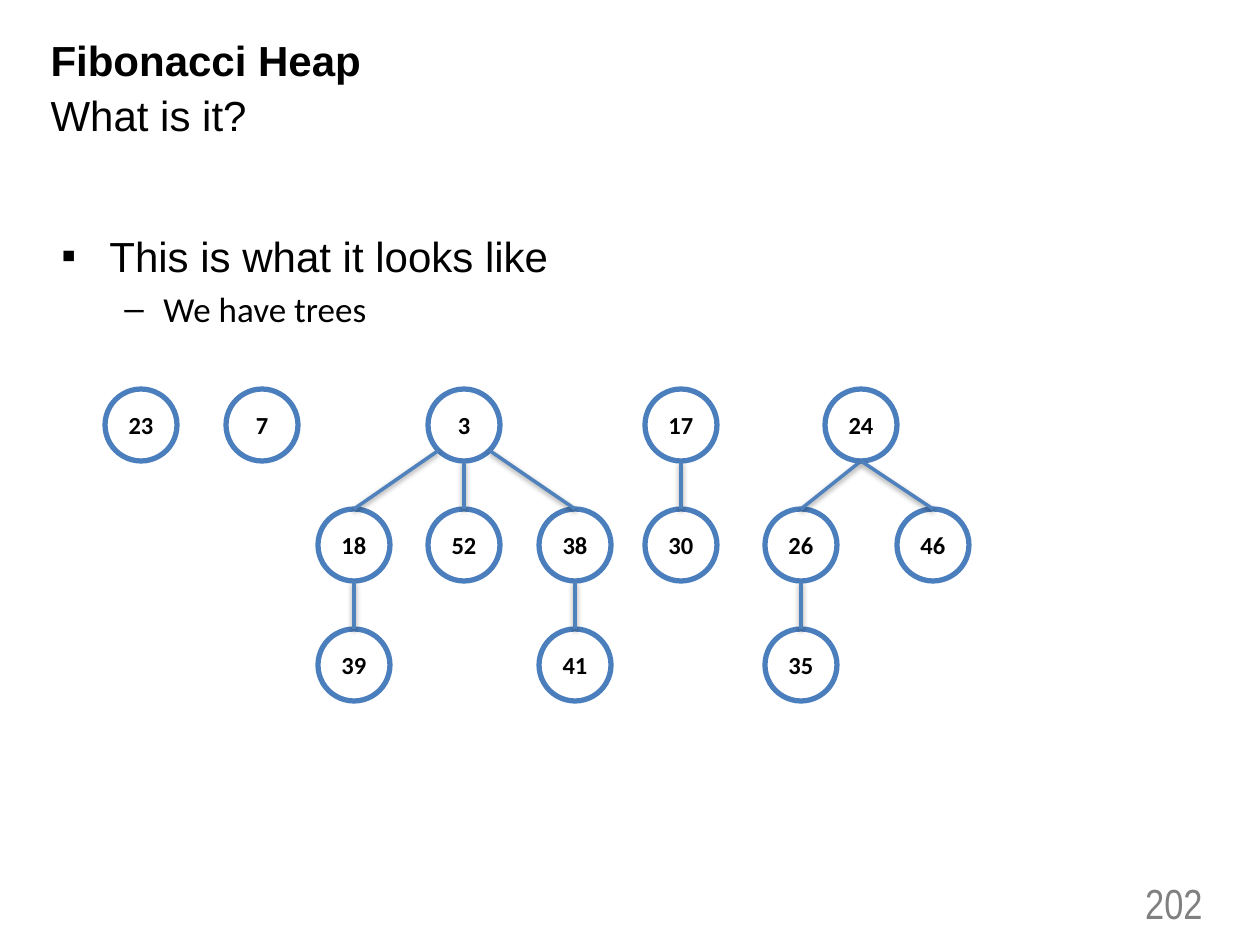
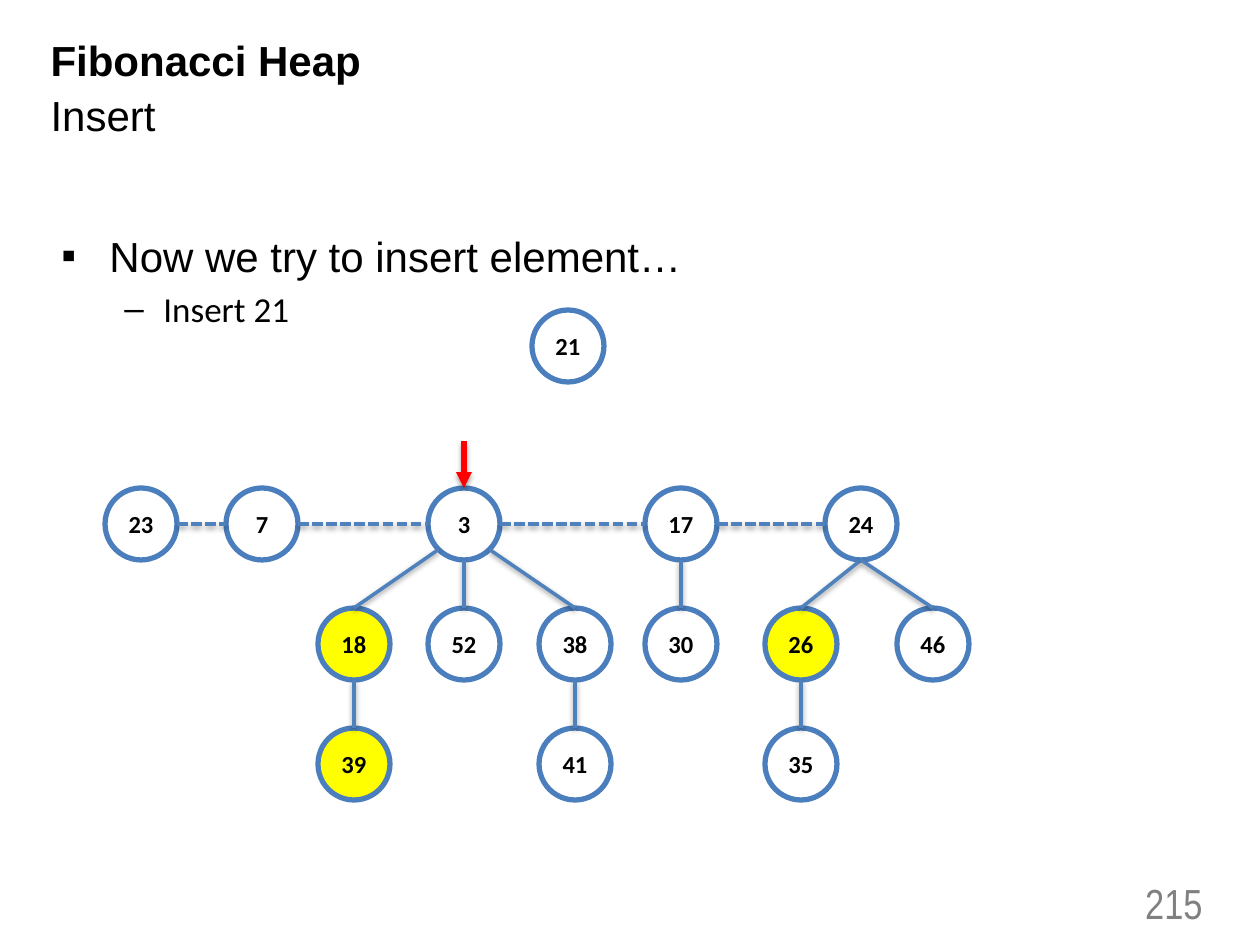
from math import sqrt

from lxml import etree
from pptx import Presentation
from pptx.dml.color import RGBColor
from pptx.enum.dml import MSO_LINE
from pptx.enum.shapes import MSO_CONNECTOR, MSO_SHAPE
from pptx.enum.text import MSO_ANCHOR, MSO_AUTO_SIZE, PP_ALIGN
from pptx.oxml.ns import qn
from pptx.util import Emu, Pt

LEFT, CENTER, RIGHT = PP_ALIGN.LEFT, PP_ALIGN.CENTER, PP_ALIGN.RIGHT
TOP, MIDDLE = MSO_ANCHOR.TOP, MSO_ANCHOR.MIDDLE
STRAIGHT, ELLIPSE = MSO_CONNECTOR.STRAIGHT, MSO_SHAPE.OVAL
SYS_DASH = MSO_LINE.SQUARE_DOT
NO_AUTOFIT = MSO_AUTO_SIZE.NONE
TITLE_ONLY = 5

BLACK, GRAY, RED, YELLOW = "000000", "808080", "FF0000", "FFFF00"
NODE_BLUE, EDGE_BLUE = "4B7EBC", "4F81BD"

SLIDE_SIZE = (1260, 945)
TITLE_BOX = (38, 30, 719, 107)
BODY_BOX = (49, 220, 1191, 624)
PAGE_BOX = (1047, 878, 168, 50)
FOREST_LEFT = 105
NODE = 72
ROW_PITCH = 120
POINTER_LENGTH = 47

ROOTS = {"23": 0, "7": 121, "3": 323, "17": 540, "24": 720}
CHILDREN = {"18": 213, "52": 323, "38": 434, "30": 540, "26": 660, "46": 792}
GRANDCHILDREN = {"39": 213, "41": 434, "35": 660}
PARENTS = {
    "52": "3", "38": "3", "18": "3", "39": "18", "41": "38",
    "30": "17", "26": "24", "46": "24", "35": "26",
}


def px(length):
    return Emu(round(length * 914400 / 126))


def color(hex_value):
    return RGBColor.from_string(hex_value)


def add_text(paragraph, text, size, font="Arial", ink=BLACK, bold=False,
             align=LEFT, before=0, spacing=None):
    paragraph.alignment = align
    paragraph.space_before = Pt(before)
    if spacing:
        paragraph.line_spacing = spacing
    run = paragraph.add_run()
    run.text = text
    run.font.size = Pt(size)
    run.font.name = font
    run.font.bold = bold
    run.font.color.rgb = color(ink)


def add_bullet(paragraph, mark, margin, hanging):
    properties = paragraph._p.get_or_add_pPr()
    properties.set("marL", str(px(margin)))
    properties.set("indent", str(-px(hanging)))
    etree.SubElement(properties, qn("a:buFont"), typeface="Arial")
    etree.SubElement(properties, qn("a:buChar"), char=mark)


def set_frame(frame, anchor=TOP, top_inset=10):
    frame.word_wrap = True
    frame.auto_size = NO_AUTOFIT
    frame.vertical_anchor = anchor
    frame.margin_top = px(top_inset)
    return frame


def add_title(slide, box, topic, subtitle):
    title = slide.shapes.title
    title.left, title.top, title.width, title.height = map(px, box)
    frame = set_frame(title.text_frame)
    add_text(frame.paragraphs[0], topic, 24, bold=True, spacing=0.9)
    add_text(frame.add_paragraph(), subtitle, 24, before=5.5, spacing=0.9)


def add_body(slide, box, statement, detail):
    frame = set_frame(slide.shapes.add_textbox(*map(px, box)).text_frame)
    first, second = frame.paragraphs[0], frame.add_paragraph()
    add_bullet(first, "▪", 48, 48)
    add_text(first, statement, 24)
    second.level = 1
    add_bullet(second, "–", 102, 39)
    add_text(second, detail, 20, font="Calibri", before=4)


def add_page_number(slide, box, number):
    page = slide.shapes.add_textbox(*map(px, box))
    frame = set_frame(page.text_frame, MIDDLE, 6)
    add_text(frame.paragraphs[0], number, 24, font="Arial Narrow",
             ink=GRAY, align=RIGHT)


def add_node(slide, left, top, key, marked=False):
    node = slide.shapes.add_shape(ELLIPSE, *map(px, (left, top, NODE, NODE)))
    node.shadow.inherit = False
    if marked:
        node.fill.solid()
        node.fill.fore_color.rgb = color(YELLOW)
    else:
        node.fill.background()
    node.line.color.rgb = color(NODE_BLUE)
    node.line.width = Pt(3)
    frame = node.text_frame
    frame.margin_left = frame.margin_right = 0
    frame.margin_top = frame.margin_bottom = 0
    frame.word_wrap = False
    frame.vertical_anchor = MIDDLE
    add_text(frame.paragraphs[0], key, 14, font="Calibri", bold=True,
             align=CENTER)


def add_edge(slide, start, end, ink=EDGE_BLUE, width=2, dashed=False,
             arrow=False):
    edge = slide.shapes.add_connector(STRAIGHT, *map(px, (*start, *end)))
    edge.line.color.rgb = color(ink)
    edge.line.width = Pt(width)
    if dashed:
        edge.line.dash_style = SYS_DASH
    if arrow:
        etree.SubElement(edge.line._get_or_add_ln(), qn("a:tailEnd"),
                         type="triangle")
    effects = etree.SubElement(edge._element.spPr, qn("a:effectLst"))
    shadow = etree.SubElement(effects, qn("a:outerShdw"), blurRad="40000",
                              dist="20000", dir="5400000", rotWithShape="0")
    shade = etree.SubElement(shadow, qn("a:srgbClr"), val=BLACK)
    etree.SubElement(shade, qn("a:alpha"), val="38000")


def add_forest(slide, left, top, marked=(), linked=False):
    radius = NODE / 2
    diagonal = radius / sqrt(2)
    centers = {}
    for row, level in enumerate((ROOTS, CHILDREN, GRANDCHILDREN)):
        for key, offset in level.items():
            x, y = left + offset, top + row * ROW_PITCH
            centers[key] = (x + radius, y + radius)
            add_node(slide, x, y, key, key in marked)

    for child, parent in PARENTS.items():
        (x, y), (child_x, child_y) = centers[parent], centers[child]
        if parent == "3" and child_x != x:
            side = 1 if child_x > x else -1
            start = (x + side * diagonal, y + diagonal)
        else:
            start = (x, y + radius)
        add_edge(slide, start, (child_x, child_y - radius))

    if linked:
        keys = list(ROOTS)
        for key, neighbor in zip(keys, keys[1:]):
            (x, y), (neighbor_x, _) = centers[key], centers[neighbor]
            add_edge(slide, (x + radius, y), (neighbor_x - radius, y),
                     dashed=True)
        minimum_x = centers["3"][0]
        add_edge(slide, (minimum_x, top - POINTER_LENGTH), (minimum_x, top),
                 ink=RED, width=3, arrow=True)


def add_heap_slide(deck, subtitle, statement, detail, number):
    slide = deck.slides.add_slide(deck.slide_layouts[TITLE_ONLY])
    add_page_number(slide, PAGE_BOX, number)
    add_title(slide, TITLE_BOX, "Fibonacci Heap", subtitle)
    add_body(slide, BODY_BOX, statement, detail)
    return slide


def main():
    deck = Presentation()
    deck.slide_width, deck.slide_height = map(px, SLIDE_SIZE)

    overview = add_heap_slide(deck, "What is it?", "This is what it looks like",
                              "We have trees", "202")
    add_forest(overview, FOREST_LEFT, 389)

    insertion = add_heap_slide(deck, "Insert", "Now we try to insert element…",
                               "Insert 21", "215")
    add_forest(insertion, FOREST_LEFT, 488, marked=("18", "39", "26"),
               linked=True)
    add_node(insertion, 532, 310, "21")

    deck.save("out.pptx")


if __name__ == "__main__":
    main()
